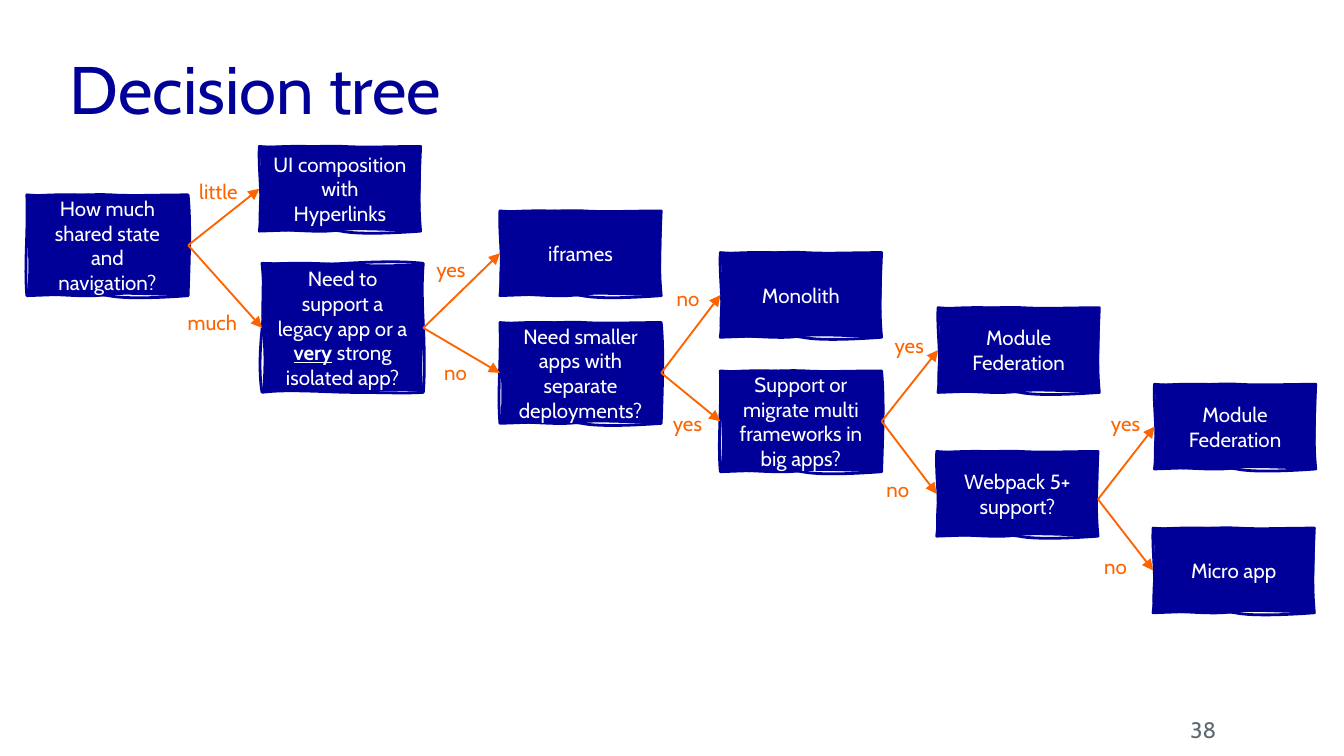
from lxml import etree
from pptx import Presentation
from pptx.dml.color import RGBColor
from pptx.enum import shapes, text
from pptx.oxml import ns
from pptx.util import Pt

PX = 9144  # EMU per px, 100 px to the inch
FONT = "Cabin"
COLORS = {"navy": "000099", "orange": "FD6400", "white": "FFFFFF", "gray": "5E6A71"}
WIDE = 120  # node width

# Hand-drawn edges as curve points; bottom y counts from the lower edge
TOPS = ([(24, 2), (45, -1), (63, 0), (80, 1), (97, 0), (120, 0)],
        [(28, -2), (41, -1), (59, 0), (77, 1), (103, 1), (120, 0)])
LOWS = ([(107, 1), (75, 3), (61, 0), (48, -2), (28, -1), (0, 0)],
        [(107, 1), (74, -2), (60, 0), (45, 3), (19, -1), (0, 0)])
TALL_TOPS = ([(29, 1), (46, 1), (62, 0), (79, -1), (103, -2), (120, 0)],
             [(27, -2), (40, -1), (59, 0), (77, 1), (101, 1), (120, 0)])
TALL_LOWS = ([(106, 1), (90, 0), (62, 0), (34, -1), (15, -2), (0, 0)],
             [(94, -3), (85, 1), (62, 0), (40, -2), (18, -1), (0, 0)])
# Node height: tops, lows, right sides, left sides (first the line, then the fill)
EDGES = {
    63: (TOPS, LOWS,
         ([(119, 24), (118, 42), (120, 63)], [(121, 17), (119, 47), (120, 63)]),
         ([(3, 38), (-1, 18), (0, 0)], [(-2, 39), (3, 31), (0, 0)])),
    75: (TOPS, LOWS,
         ([(122, 21), (121, 45), (120, 75)], [(123, 18), (120, 52), (120, 75)]),
         ([(-2, 51), (1, 30), (0, 0)], [(3, 46), (-1, 32), (0, 0)])),
    96: (TALL_TOPS, TALL_LOWS,
         ([(119, 11), (119, 25), (120, 45), (121, 65), (121, 85), (120, 96)],
          [(118, 11), (119, 30), (120, 50), (120, 69), (118, 74), (120, 96)]),
         ([(-2, 85), (-2, 68), (0, 49), (2, 30), (2, 21), (0, 0)],
          [(2, 74), (1, 62), (0, 50), (-1, 37), (0, 17), (0, 0)])),
}

# Name: left, top, height, wording (stars mark stress)
NODES = {
    "state": (0, 36, 75, "How much shared state and navigation?"),
    "links": (173, 0, 63, "UI composition with Hyperlinks"),
    "legacy": (175, 87, 96, "Need to support a legacy app or a *very* strong isolated app?"),
    "iframes": (352, 48, 63, "iframes"),
    "small": (352, 131, 75, "Need smaller apps with separate deployments?"),
    "mono": (516, 79, 63, "Monolith"),
    "multi": (516, 167, 75, "Support or migrate multi frameworks in big apps?"),
    "fed": (678, 120, 63, "Module Federation"),
    "webpack": (677, 227, 63, "Webpack 5+ support?"),
    "other": (839, 177, 63, "Module Federation"),
    "micro": (838, 284, 63, "Micro app"),
}
# From, to, answer, left and top of the answer
LINKS = [
    ("state", "links", "little", 127, 19),
    ("state", "legacy", "much", 119, 117),
    ("legacy", "iframes", "yes", 304, 77),
    ("legacy", "small", "no", 310, 154),
    ("small", "mono", "no", 483, 99),
    ("small", "multi", "yes", 480, 192),
    ("multi", "fed", "yes", 645, 134),
    ("multi", "webpack", "no", 639, 241),
    ("webpack", "other", "yes", 806, 192),
    ("webpack", "micro", "no", 801, 298),
]
DROPS = {"webpack": 4}  # arrows that leave below the middle
WIDTHS = {"little": 31, "much": 38, "yes": 23, "no": 18}


def color(name):
    return RGBColor.from_string(COLORS[name])


def px(*nums):
    return [round(n * PX) for n in nums]


def style(par, size, name, align):
    par.alignment = align
    par.font.name, par.font.size = FONT, Pt(size)
    par.font.color.rgb = color(name)


def inset(frame, left, top, right, bottom):
    frame.margin_left, frame.margin_top, frame.margin_right, frame.margin_bottom = px(
        left, top, right, bottom)


def sketch(shape, high):
    """Give the shape a wobbly line and a separate wobbly fill."""
    paths = shape._element.spPr.find(".//" + ns.qn("a:pathLst"))
    for old in list(paths):
        paths.remove(old)
    tops, lows, rights, lefts = EDGES[high]
    for turn, off in enumerate(({"fill": "none"}, {"stroke": "0"})):
        path = etree.SubElement(paths, ns.qn("a:path"), w=str(WIDE * PX), h=str(high * PX), **off)
        low = [(x, y + high) for x, y in lows[turn]]
        points = tops[turn] + rights[turn] + low + lefts[turn]
        move = etree.SubElement(path, ns.qn("a:moveTo"))
        etree.SubElement(move, ns.qn("a:pt"), x="0", y="0")
        for i, (x, y) in enumerate(points):
            if i % 3 == 0:
                curve = etree.SubElement(path, ns.qn("a:cubicBezTo"))
            etree.SubElement(curve, ns.qn("a:pt"), x=str(x * PX), y=str(y * PX))
        etree.SubElement(path, ns.qn("a:close"))


def node(slide, x, y, high, words):
    form = slide.shapes.build_freeform(0, 0, scale=PX)
    form.add_line_segments([(WIDE, 0), (WIDE, high), (0, high)])
    shape = form.convert_to_shape(*px(x, y))
    sketch(shape, high)
    shape.shadow.inherit = False
    shape.fill.solid()
    shape.fill.fore_color.rgb = shape.line.color.rgb = color("navy")
    shape.line.width = Pt(1.5)
    frame = shape.text_frame
    frame.word_wrap = True
    frame.vertical_anchor = text.MSO_ANCHOR.MIDDLE
    frame.margin_left = frame.margin_right = Pt(7.4)
    par = frame.paragraphs[0]
    for i, part in enumerate(words.split("*")):
        run = par.add_run()
        run.text = part
        if i % 2:
            run.font.bold = run.font.underline = True
    style(par, 11, "white", text.PP_ALIGN.CENTER)


def arrow(slide, x1, y1, x2, y2):
    line = slide.shapes.add_connector(shapes.MSO_CONNECTOR.STRAIGHT, *px(x1, y1, x2, y2))
    line.line.color.rgb = color("orange")
    line.line.width = Pt(1)
    etree.SubElement(line.line._get_or_add_ln(), ns.qn("a:tailEnd"), type="triangle")
    etree.SubElement(line._element.spPr, ns.qn("a:effectLst"))


def label(slide, x, y, word):
    box = slide.shapes.add_textbox(*px(x, y, WIDTHS[word], 29))
    frame = box.text_frame
    frame.word_wrap = False
    frame.auto_size = text.MSO_AUTO_SIZE.SHAPE_TO_FIT_TEXT
    inset(frame, 0, 5, 0, 5)
    frame.text = word
    style(frame.paragraphs[0], 11, "orange", text.PP_ALIGN.CENTER)


def tree(slide, left, top):
    for x, y, high, words in NODES.values():
        node(slide, left + x, top + y, high, words)
    for start, end, word, lx, ly in LINKS:
        x1, y1, h1, _ = NODES[start]
        x2, y2, h2, _ = NODES[end]
        drop = DROPS.get(start, 0)
        arrow(slide, left + x1 + WIDE, top + y1 + h1 / 2 + drop, left + x2, top + y2 + h2 / 2)
        label(slide, left + lx, top + ly, word)


def title(slide, x, y, w, h):
    head = slide.shapes.title
    head.left, head.top, head.width, head.height = px(x, y, w, h)
    frame = head.text_frame
    frame.text = "Decision tree"
    frame.word_wrap = True
    frame.auto_size = text.MSO_AUTO_SIZE.NONE
    frame.vertical_anchor = text.MSO_ANCHOR.MIDDLE
    inset(frame, 0, 0, 0, 0)
    par = frame.paragraphs[0]
    style(par, 36, "navy", text.PP_ALIGN.LEFT)
    par.line_spacing = 0.9


def number(slide, x, y, w, h):
    frame = slide.shapes.add_textbox(*px(x, y, w, h)).text_frame
    frame.word_wrap = True
    frame.vertical_anchor = text.MSO_ANCHOR.MIDDLE
    inset(frame, 10, 5, 0, 5)
    frame.text = "38"
    style(frame.paragraphs[0], 12, "gray", text.PP_ALIGN.RIGHT)


def main():
    deck = Presentation()
    deck.slide_width, deck.slide_height = px(1000, 1000 * 9 / 16)
    slide = deck.slides.add_slide(deck.slide_layouts[5])
    title(slide, 52, 21, 854, 96)
    number(slide, 835, 532, 70, 22)
    tree(slide, 20, 109)
    deck.save("out.pptx")


if __name__ == "__main__":
    main()
